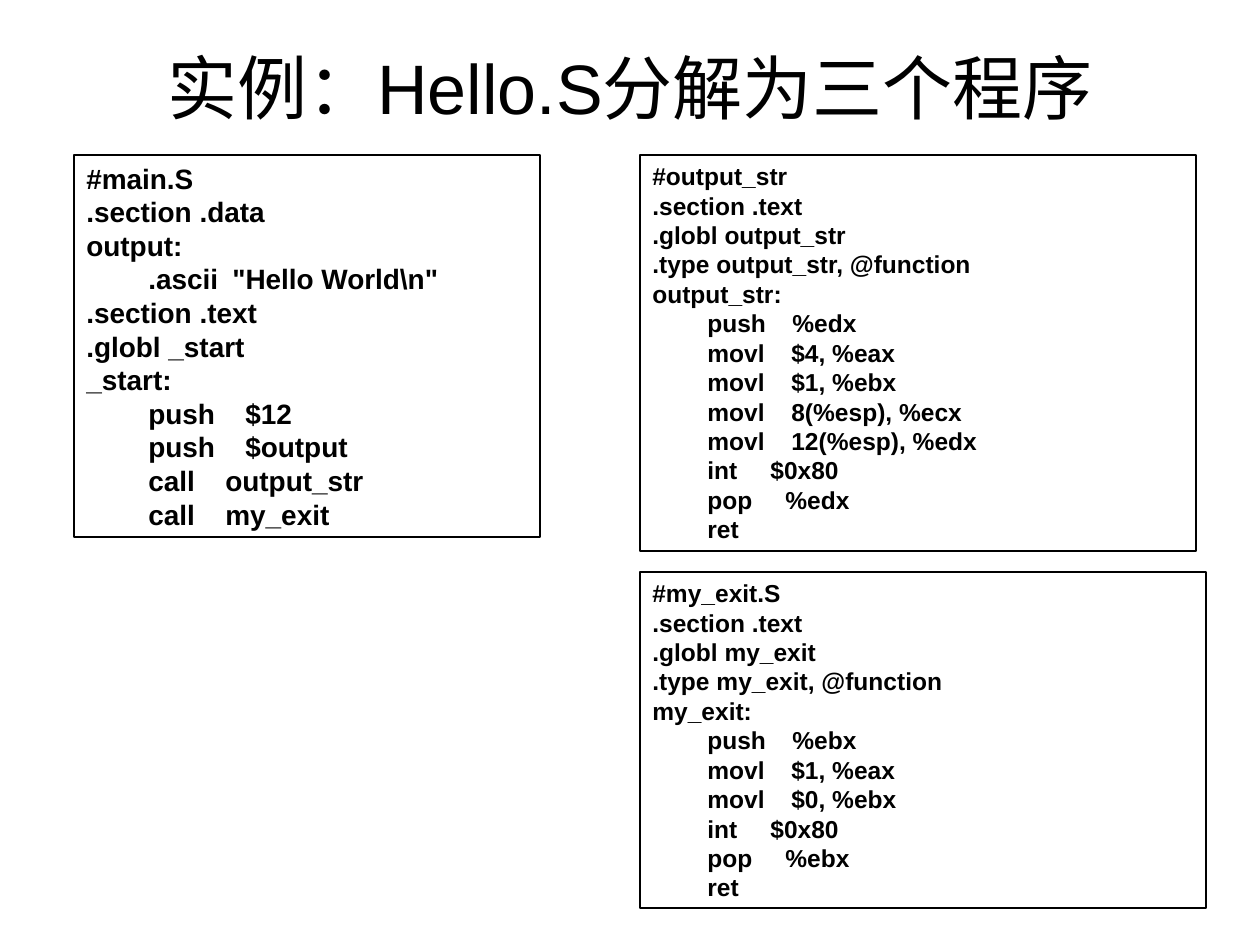
from lxml import etree
from pptx import Presentation, util as u
from pptx.dml.color import RGBColor
from pptx.enum import shapes, text
from pptx.oxml.ns import qn

PX_PER_INCH = 126
COLORS = {"ink": "000000"}
FONT = "Arial"

# Tab stops by font size: instruction indent, then the operand column
INDENTS = {16: 62, 14: 55}
OPERAND_COLUMNS = {
    16: {".ascii": 146, "push": 159, "call": 139},
    14: {"push": 140, "movl": 139, "int": 118, "pop": 133},
}

MAIN_CODE = [
    "#main.S",
    ".section .data",
    "output:",
    "\t.ascii\t\"Hello World\\n\"",
    ".section .text",
    ".globl _start",
    "_start:",
    "\tpush\t$12",
    "\tpush\t$output",
    "\tcall\toutput_str",
    "\tcall\tmy_exit",
]


def function_code(title, name, register, instructions):
    """List a function that saves and restores one register."""
    return [
        title,
        ".section .text",
        f".globl {name}",
        f".type {name}, @function",
        f"{name}:",
        f"\tpush\t{register}",
        *instructions,
        "\tint\t$0x80",
        f"\tpop\t{register}",
        "\tret",
    ]


OUTPUT_CODE = function_code("#output_str", "output_str", "%edx", [
    "\tmovl\t$4, %eax",
    "\tmovl\t$1, %ebx",
    "\tmovl\t8(%esp), %ecx",
    "\tmovl\t12(%esp), %edx",
])
EXIT_CODE = function_code("#my_exit.S", "my_exit", "%ebx", [
    "\tmovl\t$1, %eax",
    "\tmovl\t$0, %ebx",
])


def px(length):
    return u.Emu(round(length * 914400 / PX_PER_INCH))


def color(name):
    return RGBColor.from_string(COLORS[name])


def set_attributes(target, values):
    for name, value in values.items():
        setattr(target, name, value)


def write_line(paragraph, words, size, bold, alignment):
    paragraph.alignment = alignment
    run = paragraph.add_run()
    run.text = words
    set_attributes(run.font, {"name": FONT, "size": u.Pt(size), "bold": bold})
    run.font.color.rgb = color("ink")


def set_tab_stops(paragraph, stops):
    properties = paragraph._p.get_or_add_pPr()
    tab_list = etree.SubElement(properties, qn("a:tabLst"))
    for stop in stops:
        etree.SubElement(tab_list, qn("a:tab"), pos=str(px(stop)), algn="l")


def add_title(slide, box, words):
    frame = slide.shapes.add_textbox(*map(px, box)).text_frame
    set_attributes(frame, {
        "word_wrap": True,
        "vertical_anchor": text.MSO_ANCHOR.MIDDLE,
    })
    write_line(frame.paragraphs[0], words, 40, False, text.PP_ALIGN.CENTER)


def add_code_box(slide, box, size, lines):
    shape = slide.shapes.add_shape(shapes.MSO_SHAPE.RECTANGLE, *map(px, box))
    shape.shadow.inherit = False
    shape.fill.background()
    shape.line.color.rgb = color("ink")
    shape.line.width = u.Pt(0.75)

    frame = shape.text_frame
    set_attributes(frame, {
        "word_wrap": True,
        "vertical_anchor": text.MSO_ANCHOR.TOP,
        "auto_size": text.MSO_AUTO_SIZE.SHAPE_TO_FIT_TEXT,
    })
    for index, line in enumerate(lines):
        paragraph = frame.add_paragraph() if index else frame.paragraphs[0]
        write_line(paragraph, line, size, True, text.PP_ALIGN.LEFT)
        if line.startswith("\t"):
            opcode = line.split()[0]
            stops = [INDENTS[size]]
            if opcode in OPERAND_COLUMNS[size]:
                stops.append(OPERAND_COLUMNS[size][opcode])
            set_tab_stops(paragraph, stops)


def main():
    presentation = Presentation()
    presentation.slide_width = px(1260)
    presentation.slide_height = px(945)
    slide = presentation.slides.add_slide(presentation.slide_layouts[6])

    # Heading
    add_title(slide, (63, 38, 1134, 97), "实例：Hello.S分解为三个程序")

    # Main program on the left, the two functions on the right
    add_code_box(slide, (74, 155, 466, 382), 16, MAIN_CODE)
    add_code_box(slide, (640, 155, 556, 396), 14, OUTPUT_CODE)
    add_code_box(slide, (640, 572, 566, 336), 14, EXIT_CODE)

    presentation.save("out.pptx")


if __name__ == "__main__":
    main()
